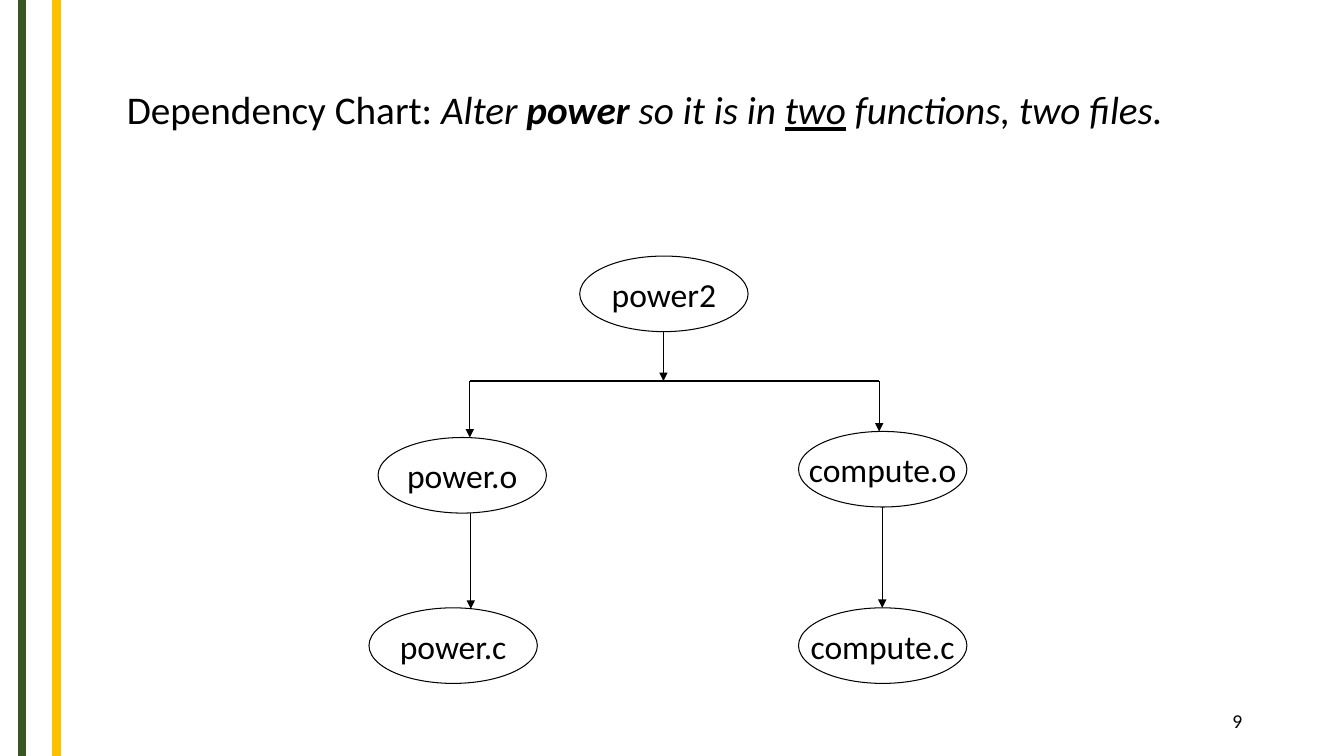
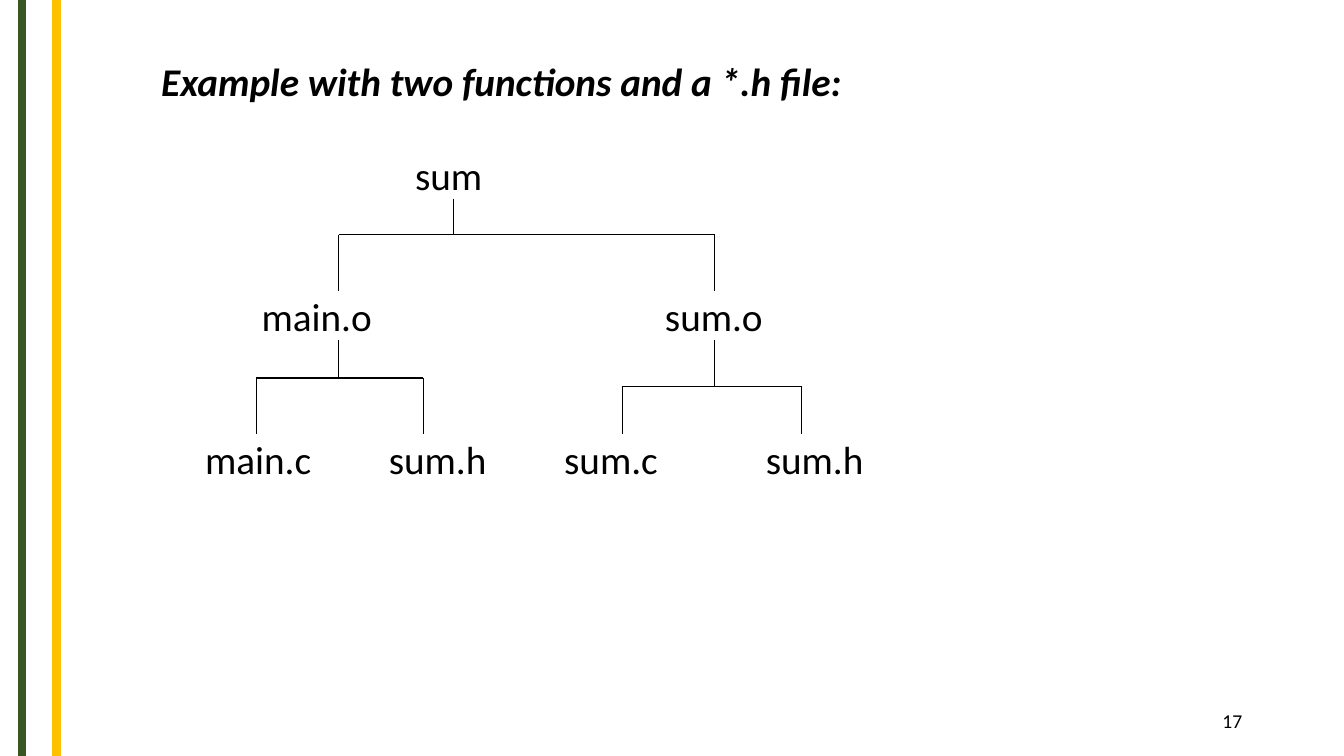
from lxml import etree
from pptx import Presentation
from pptx import util as u
from pptx.dml.color import RGBColor
from pptx.enum import shapes, text
from pptx.oxml import ns

COLORS = {"ink": "000000", "green": "385723", "gold": "FFC000"}
FONT = "Calibri"
WIDTH, HEIGHT = 13.33, 7.5
BANDS = [(0.22, "green"), (0.56, "gold")]
OVAL_W, OVAL_H = 1.67, 0.75
LABEL_W, LABEL_H = 1.4, 0.48

# Titles: left, top, runs of (text, format)
POWER_TITLE = (1.16, 0.8, [
    ("Dependency Chart: ", {}),
    ("Alter ", {"italic": True}),
    ("power", {"italic": True, "bold": True}),
    (" so it is in ", {"italic": True}),
    ("two", {"italic": True, "underline": True}),
    (" functions, two files.", {"italic": True}),
])
SUM_TITLE = (1.5, 0.52, [
    ("Example with two functions and a *.h file:", {"italic": True, "bold": True}),
])

# Nodes of the first chart: name, left, top
POWER_FILES = [
    ("power2", 5.75, 2.54),
    ("power.o", 3.75, 4.34),
    ("compute.o", 7.92, 4.28),
    ("power.c", 3.66, 6.03),
    ("compute.c", 7.92, 6.03),
]
# Branches: stem x, stem top, bar y, children as (x, bottom)
POWER_BRANCHES = [(6.58, 3.29, 3.78, [(4.66, 4.34), (8.72, 4.28)])]
# Single links: x, top, bottom
POWER_LINKS = [(4.67, 5.09, 6.04), (8.75, 5.03, 6.03)]

# Levels of the second chart: centre y, then name and centre x
SUM_LEVELS = [
    (1.73, [("sum", 4.45)]),
    (3.13, [("main.o", 3.14), ("sum.o", 7.08)]),
    (4.55, [("main.c", 2.56), ("sum.h", 4.34), ("sum.c", 6.06), ("sum.h", 8.08)]),
]
# Branches between levels: upper level, stem x, bar y, children x
SUM_BRANCHES = [
    (0, 4.5, 2.33, [3.36, 7.09]),
    (1, 3.36, 3.75, [2.54, 4.2]),
    (1, 7.09, 3.83, [6.17, 7.95]),
]


def rgb(name):
    return RGBColor.from_string(COLORS[name])


def write(shape, runs, size=28, align="LEFT", anchor="TOP", inset=(0.1, 0.05), wrap=True):
    """Fill a shape with one paragraph; runs is a string or (text, format) pairs."""
    frame = shape.text_frame
    frame.word_wrap = wrap
    frame.vertical_anchor = text.MSO_ANCHOR[anchor]
    frame.margin_left = frame.margin_right = u.Inches(inset[0])
    frame.margin_top = frame.margin_bottom = u.Inches(inset[1])
    paragraph = frame.paragraphs[0]
    paragraph.alignment = text.PP_ALIGN[align]
    for words, style in [(runs, {})] if isinstance(runs, str) else runs:
        run = paragraph.add_run()
        run.text = words
        run.font.name, run.font.size = FONT, u.Pt(size)
        run.font.color.rgb = rgb("ink")
        for key, value in style.items():
            setattr(run.font, key, value)


def text_box(slide, left, top, width, height, runs, **style):
    box = slide.shapes.add_textbox(*map(u.Inches, (left, top, width, height)))
    write(box, runs, **style)


def line(slide, x1, y1, x2, y2, color="ink", weight=0.75, arrow=False):
    rule = slide.shapes.add_connector(
        shapes.MSO_CONNECTOR.STRAIGHT, *map(u.Inches, (x1, y1, x2, y2)))
    rule.line.color.rgb = rgb(color)
    rule.line.width = u.Pt(weight)
    if arrow:
        etree.SubElement(rule.line._get_or_add_ln(), ns.qn("a:tailEnd"), type="triangle")
    etree.SubElement(rule._element.spPr, ns.qn("a:effectLst"))


def branch(slide, x, top, bar, children, arrow=False):
    """Draw a stem, a bar across the children and a drop to each child."""
    line(slide, children[0][0], bar, children[-1][0], bar)
    line(slide, x, top, x, bar, arrow=arrow)
    for child_x, bottom in children:
        line(slide, child_x, bar, child_x, bottom, arrow=arrow)


def oval(slide, name, left, top):
    node = slide.shapes.add_shape(
        shapes.MSO_SHAPE.OVAL, *map(u.Inches, (left, top, OVAL_W, OVAL_H)))
    node.shadow.inherit = False
    node.fill.background()
    node.line.color.rgb = rgb("ink")
    node.line.width = u.Pt(0.75)
    write(node, name, size=24, align="CENTER", anchor="MIDDLE", inset=(0, 0), wrap=False)


def new_slide(deck, title, number):
    """Add a slide with the shared bands, title and page number."""
    slide = deck.slides.add_slide(deck.slide_layouts[6])
    for x, color in BANDS:
        line(slide, x, 0, x, HEIGHT, color, 6)
    left, top, runs = title
    text_box(slide, left, top, 10.61, 0.57, runs)
    text_box(slide, 9.42, 6.95, 3, 0.4, number, size=14, align="RIGHT", anchor="MIDDLE")
    return slide


def main():
    deck = Presentation()
    deck.slide_width, deck.slide_height = u.Inches(WIDTH), u.Inches(HEIGHT)

    # Dependency chart with ovals and arrows
    power = new_slide(deck, POWER_TITLE, "9")
    for node in POWER_FILES:
        oval(power, *node)
    for parts in POWER_BRANCHES:
        branch(power, *parts, arrow=True)
    for x, top, bottom in POWER_LINKS:
        line(power, x, top, x, bottom, arrow=True)

    # File tree: lines run from the foot of one level to the head of the next
    tree = new_slide(deck, SUM_TITLE, "17")
    for y, files in SUM_LEVELS:
        for name, x in files:
            text_box(tree, x - LABEL_W / 2, y - LABEL_H / 2, LABEL_W, LABEL_H, name,
                     align="CENTER", anchor="MIDDLE", inset=(0, 0))
    for level, x, bar, children in SUM_BRANCHES:
        foot = SUM_LEVELS[level][0] + LABEL_H / 2
        head = SUM_LEVELS[level + 1][0] - LABEL_H / 2
        branch(tree, x, foot, bar, [(child_x, head) for child_x in children])

    deck.save("out.pptx")


if __name__ == "__main__":
    main()
